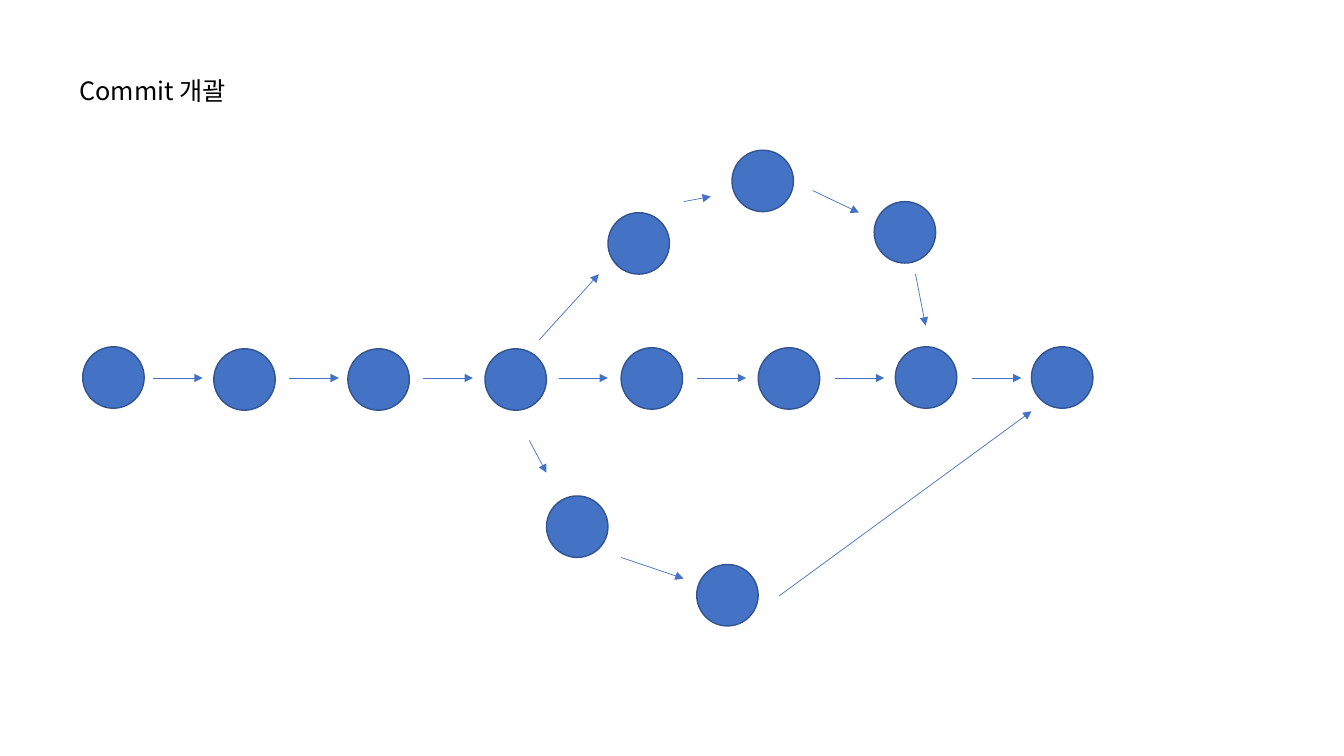
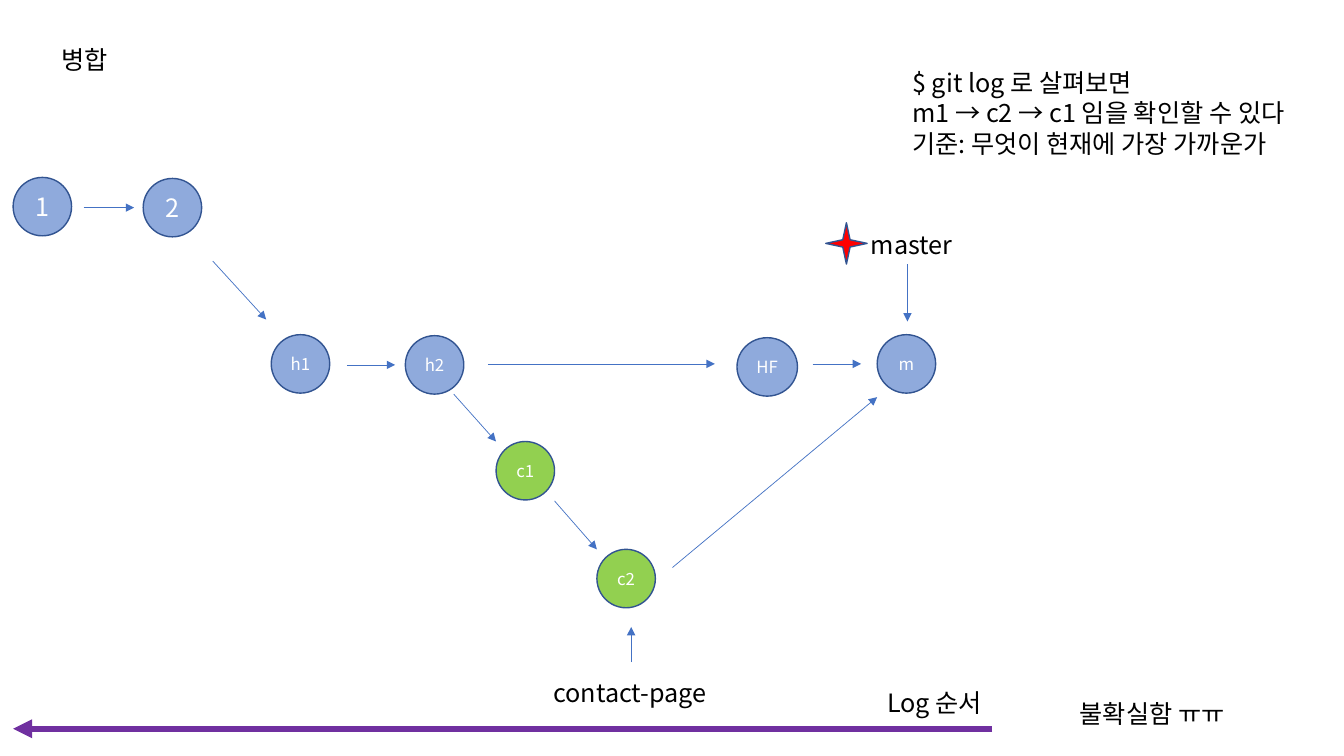
import pptx
import pptx.util
import pptx.dml.color
import pptx.enum.shapes
import pptx.enum.text
import pptx.oxml
import pptx.oxml.ns
from pptx.util import Inches

FONT = "Noto Sans CJK KR"
COLORS = {
    "blue": "4472C4",
    "light_blue": "8FAADC",
    "outline": "325491",
    "green": "92D050",
    "red": "FF0000",
    "purple": "7030A0",
    "black": "000000",
    "white": "FFFFFF",
}
SHAPES = pptx.enum.shapes.MSO_SHAPE
ALIGN = pptx.enum.text.PP_ALIGN
ANCHOR = pptx.enum.text.MSO_ANCHOR


def rgb(color):
    return pptx.dml.color.RGBColor.from_string(COLORS[color])


def add_xml(parent, tag, **attributes):
    child = pptx.oxml.ns.qn(tag)
    element = parent.makeelement(child, attributes)
    parent.append(element)


def format_paragraph(paragraph, size, color, align):
    paragraph.alignment = align
    for run in paragraph.runs:
        run.font.name = FONT
        run.font.size = pptx.util.Pt(size)
        run.font.color.rgb = rgb(color)
        add_xml(run.font._element, "a:ea", typeface=FONT)


def fill_text(box, text):
    """Black 18 pt text, left aligned from the top, one paragraph a line."""
    frame = box.text_frame
    frame.text = text
    frame.word_wrap = True
    frame.auto_size = pptx.enum.text.MSO_AUTO_SIZE.NONE
    frame.vertical_anchor = ANCHOR.TOP
    frame.margin_top = Inches(0.07)
    for paragraph in frame.paragraphs:
        paragraph.line_spacing = pptx.util.Pt(21.6)
        format_paragraph(paragraph, 18, "black", ALIGN.LEFT)


def add_titled_slide(deck, title, left, top, width):
    slide = deck.slides.add_slide(deck.slide_layouts[5])
    heading = slide.shapes.title
    heading.left, heading.top = Inches(left), Inches(top)
    heading.width, heading.height = Inches(width), Inches(0.4)
    fill_text(heading, title)
    return slide


def add_label(slide, text, left, top, width, height=0.4):
    label = slide.shapes.add_textbox(
        Inches(left), Inches(top), Inches(width), Inches(height))
    fill_text(label, text)


def add_marker(slide, preset, left, top, width, height, fill):
    marker = slide.shapes.add_shape(
        preset, Inches(left), Inches(top), Inches(width), Inches(height))
    marker.shadow.inherit = False
    marker.fill.solid()
    marker.fill.fore_color.rgb = rgb(fill)
    marker.line.color.rgb = rgb("outline")
    marker.line.width = pptx.util.Pt(1)
    return marker


def add_commit(slide, left, top, diameter, fill, name="", size=12, width=None):
    commit = add_marker(slide, SHAPES.OVAL, left, top, width or diameter,
                        diameter, fill)
    if name:
        frame = commit.text_frame
        frame.text = name
        frame.word_wrap = False
        frame.vertical_anchor = ANCHOR.MIDDLE
        format_paragraph(frame.paragraphs[0], size, "white", ALIGN.CENTER)


def add_arrow(slide, x1, y1, x2, y2, color="blue", width=0.5):
    arrow = slide.shapes.add_connector(
        pptx.enum.shapes.MSO_CONNECTOR.STRAIGHT,
        Inches(x1), Inches(y1), Inches(x2), Inches(y2))
    arrow.line.color.rgb = rgb(color)
    arrow.line.width = pptx.util.Pt(width)
    add_xml(arrow.line._get_or_add_ln(), "a:tailEnd", type="triangle")
    add_xml(arrow._element.spPr, "a:effectLst")


def build_overview(deck):
    slide = add_titled_slide(deck, "Commit 개괄", 0.69, 0.68, 4.11)

    # Commits: main line, lower branch, upper branch
    main_line = [(0.82, 3.44), (2.12, 3.46), (3.45, 3.46), (4.81, 3.46),
                 (6.16, 3.45), (7.52, 3.45), (8.88, 3.44), (10.23, 3.44)]
    lower_branch = [(5.42, 4.92), (6.91, 5.6)]
    upper_branch = [(6.03, 2.11), (7.26, 1.49), (8.67, 2)]
    for left, top in main_line + lower_branch + upper_branch:
        add_commit(slide, left, top, 0.61, "blue")

    # Arrows along the main line, all of one length
    for start in (1.52, 2.87, 4.2, 5.54, 6.91, 8.28, 9.64):
        add_arrow(slide, start, 3.75, start + 0.49, 3.75)

    # Arrows along the branches
    upper_arrows = [(5.35, 3.37, 5.94, 2.72), (6.78, 2, 7.05, 1.95),
                    (8.06, 1.89, 8.52, 2.11), (9.08, 2.72, 9.18, 3.23)]
    lower_arrows = [(5.25, 4.37, 5.42, 4.69), (6.16, 5.53, 6.78, 5.74),
                    (7.73, 5.91, 10.23, 4.08)]
    for ends in upper_arrows + lower_arrows:
        add_arrow(slide, *ends)


def build_merge(deck):
    slide = add_titled_slide(deck, "병합", 0.51, 0.37, 2.43)

    # Commits
    for name, left, top, fill, size, width in [
            ("1", 0.13, 1.76, "light_blue", 18, 0.58),
            ("2", 1.42, 1.77, "light_blue", 18, 0.58),
            ("h1", 2.69, 3.32, "light_blue", 12, 0.58),
            ("h2", 4.02, 3.33, "light_blue", 12, 0.58),
            ("HF", 7.31, 3.35, "light_blue", 12, 0.6),
            ("m", 8.7, 3.32, "light_blue", 12, 0.58),
            ("c1", 4.92, 4.38, "green", 12, 0.58),
            ("c2", 5.92, 5.45, "green", 12, 0.58)]:
        add_commit(slide, left, top, 0.58, fill, name, size, width)

    # Arrows between commits and from the branch names
    for ends in [(0.83, 2.06, 1.33, 2.06), (2.11, 2.59, 2.64, 3.17),
                 (3.44, 3.62, 3.92, 3.62), (4.84, 3.61, 7.09, 3.61),
                 (8.06, 3.61, 8.54, 3.61), (4.5, 3.91, 4.92, 4.38),
                 (5.5, 4.97, 5.92, 5.45), (6.67, 5.63, 8.7, 3.94),
                 (9, 2.62, 9, 3.19), (6.26, 6.57, 6.26, 6.22)]:
        add_arrow(slide, *ends)

    # Branch names and remarks
    add_marker(slide, SHAPES.STAR_4_POINT, 8.19, 2.21, 0.41, 0.41, "red")
    add_label(slide, "master", 8.54, 2.21, 1.39)
    add_label(slide, "contact-page", 5.39, 6.65, 2.02)
    add_label(slide, "불확실함 ㅠㅠ", 10.61, 6.86, 2.63)
    add_label(slide, "$ git log 로 살펴보면\n"
                     "m1 → c2 → c1 임을 확인할 수 있다\n"
                     "기준: 무엇이 현재에 가장 가까운가", 8.95, 0.6, 4.3, 1)

    # Log order
    add_arrow(slide, 9.84, 7.23, 0.13, 7.23, "purple", 4.5)
    add_label(slide, "Log 순서", 8.7, 6.75, 1.39)


def main():
    deck = pptx.Presentation()
    deck.slide_width, deck.slide_height = Inches(13.33), Inches(7.5)
    build_overview(deck)
    build_merge(deck)
    deck.save("out.pptx")


if __name__ == "__main__":
    main()
